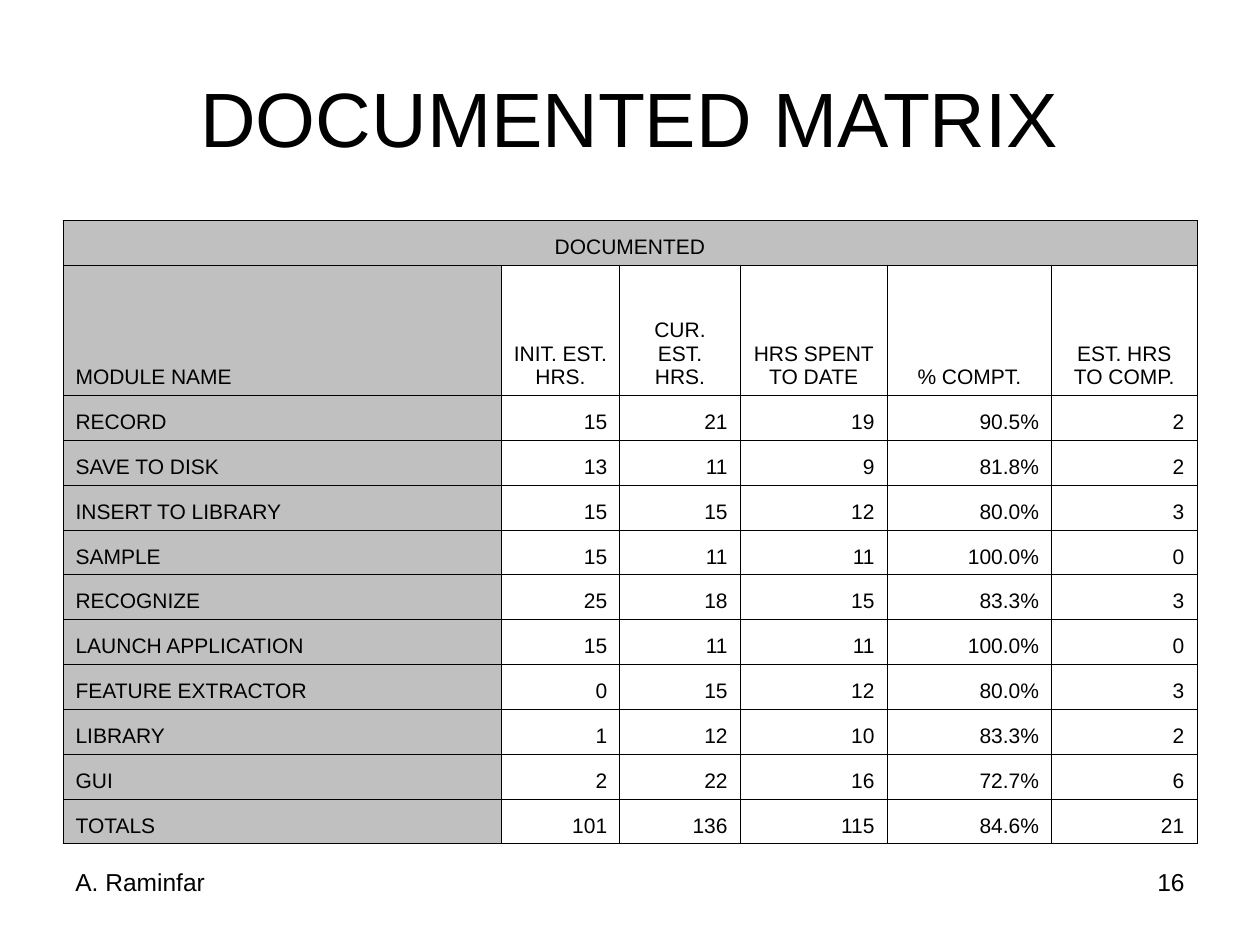
from lxml import etree
from pptx import Presentation
from pptx.dml.color import RGBColor
from pptx.enum.text import MSO_ANCHOR, PP_ALIGN
from pptx.oxml.ns import qn
from pptx.util import Pt

LEFT, CENTER, RIGHT = PP_ALIGN.LEFT, PP_ALIGN.CENTER, PP_ALIGN.RIGHT
TOP, MIDDLE, BOTTOM = MSO_ANCHOR.TOP, MSO_ANCHOR.MIDDLE, MSO_ANCHOR.BOTTOM

BLACK = RGBColor(0x00, 0x00, 0x00)
GRAY = RGBColor(0xC0, 0xC0, 0xC0)
FONT = "Arial"

MARGIN = 36
CONTENT_WIDTH = 648
FOOTER_TOP, FOOTER_WIDTH, FOOTER_HEIGHT = 491.75, 168, 37.5
TABLE_TOP = 126
COLUMN_WIDTHS = [250.4, 67.8, 68.8, 84, 94, 83]
ROW_HEIGHT, HEADER_HEIGHT = 25.65, 74.3
BORDER_WIDTH = 0.45

TABLE_TITLE = "DOCUMENTED"
HEADERS = ["MODULE NAME", "INIT. EST. HRS.", "CUR. EST. HRS.",
           "HRS SPENT TO DATE", "% COMPT.", "EST. HRS TO COMP."]
MODULES = [
    ["RECORD", "15", "21", "19", "90.5%", "2"],
    ["SAVE TO DISK", "13", "11", "9", "81.8%", "2"],
    ["INSERT TO LIBRARY", "15", "15", "12", "80.0%", "3"],
    ["SAMPLE", "15", "11", "11", "100.0%", "0"],
    ["RECOGNIZE", "25", "18", "15", "83.3%", "3"],
    ["LAUNCH APPLICATION", "15", "11", "11", "100.0%", "0"],
    ["FEATURE EXTRACTOR", "0", "15", "12", "80.0%", "3"],
    ["LIBRARY", "1", "12", "10", "83.3%", "2"],
    ["GUI", "2", "22", "16", "72.7%", "6"],
    ["TOTALS", "101", "136", "115", "84.6%", "21"],
]


def write_text(text_frame, text, size=12, align=LEFT):
    paragraph = text_frame.paragraphs[0]
    paragraph.alignment = align
    run = paragraph.add_run()
    run.text = text
    run.font.name = FONT
    run.font.size = Pt(size)
    run.font.color.rgb = BLACK


def add_text_box(slide, text, left, top, width, height, anchor=TOP, **text_format):
    text_box = slide.shapes.add_textbox(Pt(left), Pt(top), Pt(width), Pt(height))
    text_box.text_frame.word_wrap = True
    text_box.text_frame.vertical_anchor = anchor
    write_text(text_box.text_frame, text, **text_format)


def add_borders(cell):
    properties = cell._tc.get_or_add_tcPr()
    for side in ("a:lnL", "a:lnR", "a:lnT", "a:lnB"):
        line = etree.SubElement(properties, qn(side), w=str(Pt(BORDER_WIDTH)))
        fill = etree.SubElement(line, qn("a:solidFill"))
        etree.SubElement(fill, qn("a:srgbClr"), val=str(BLACK))


def style_cell(cell, shaded):
    cell.vertical_anchor = BOTTOM
    add_borders(cell)
    if shaded:
        cell.fill.solid()
        cell.fill.fore_color.rgb = GRAY
    else:
        cell.fill.background()


def cell_alignment(row_index, column_index):
    if row_index == 0:
        return CENTER
    if column_index == 0:
        return LEFT
    return CENTER if row_index == 1 else RIGHT


def add_matrix(slide):
    rows = [[TABLE_TITLE], HEADERS, *MODULES]
    heights = [ROW_HEIGHT, HEADER_HEIGHT] + [ROW_HEIGHT] * len(MODULES)
    table = slide.shapes.add_table(
        len(rows), len(HEADERS), Pt(MARGIN), Pt(TABLE_TOP),
        Pt(CONTENT_WIDTH), Pt(sum(heights))).table
    table.first_row = table.horz_banding = False
    for column, width in zip(table.columns, COLUMN_WIDTHS):
        column.width = Pt(width)
    for row, height in zip(table.rows, heights):
        row.height = Pt(height)

    table.cell(0, 0).merge(table.cell(0, len(HEADERS) - 1))
    for row_index, row in enumerate(table.rows):
        for column_index, cell in enumerate(row.cells):
            style_cell(cell, shaded=row_index == 0 or column_index == 0)
        for column_index, text in enumerate(rows[row_index]):
            write_text(table.cell(row_index, column_index).text_frame, text,
                       align=cell_alignment(row_index, column_index))


def add_footer(slide, author, page_number):
    page_left = MARGIN + CONTENT_WIDTH - FOOTER_WIDTH
    for text, left, align in ((page_number, page_left, RIGHT), (author, MARGIN, LEFT)):
        add_text_box(slide, text, left, FOOTER_TOP, FOOTER_WIDTH, FOOTER_HEIGHT,
                     size=14, align=align)


def main():
    presentation = Presentation()
    presentation.slide_width, presentation.slide_height = Pt(720), Pt(540)
    slide = presentation.slides.add_slide(presentation.slide_layouts[6])
    add_text_box(slide, "DOCUMENTED MATRIX", MARGIN, 21.6, CONTENT_WIDTH, 90,
                 anchor=MIDDLE, size=44, align=CENTER)
    add_matrix(slide)
    add_footer(slide, "A. Raminfar", "16")
    presentation.save("out.pptx")


if __name__ == "__main__":
    main()
